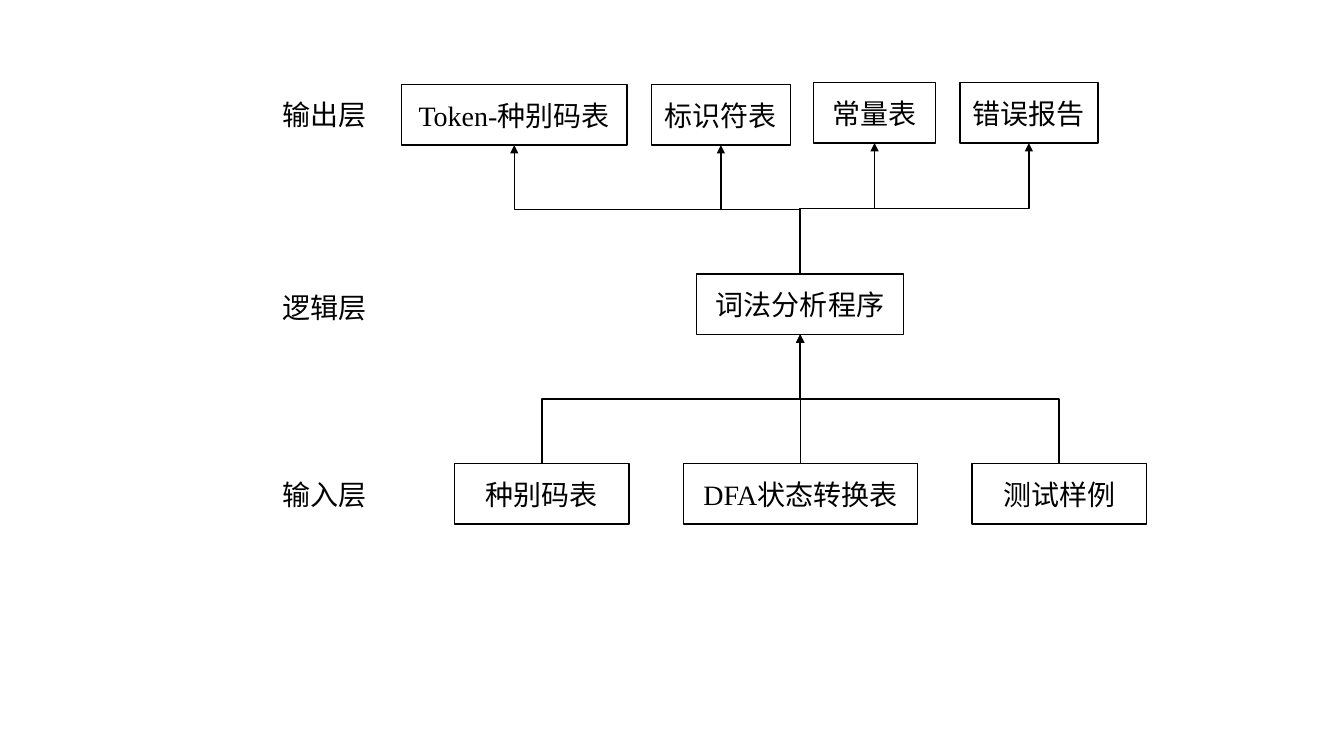
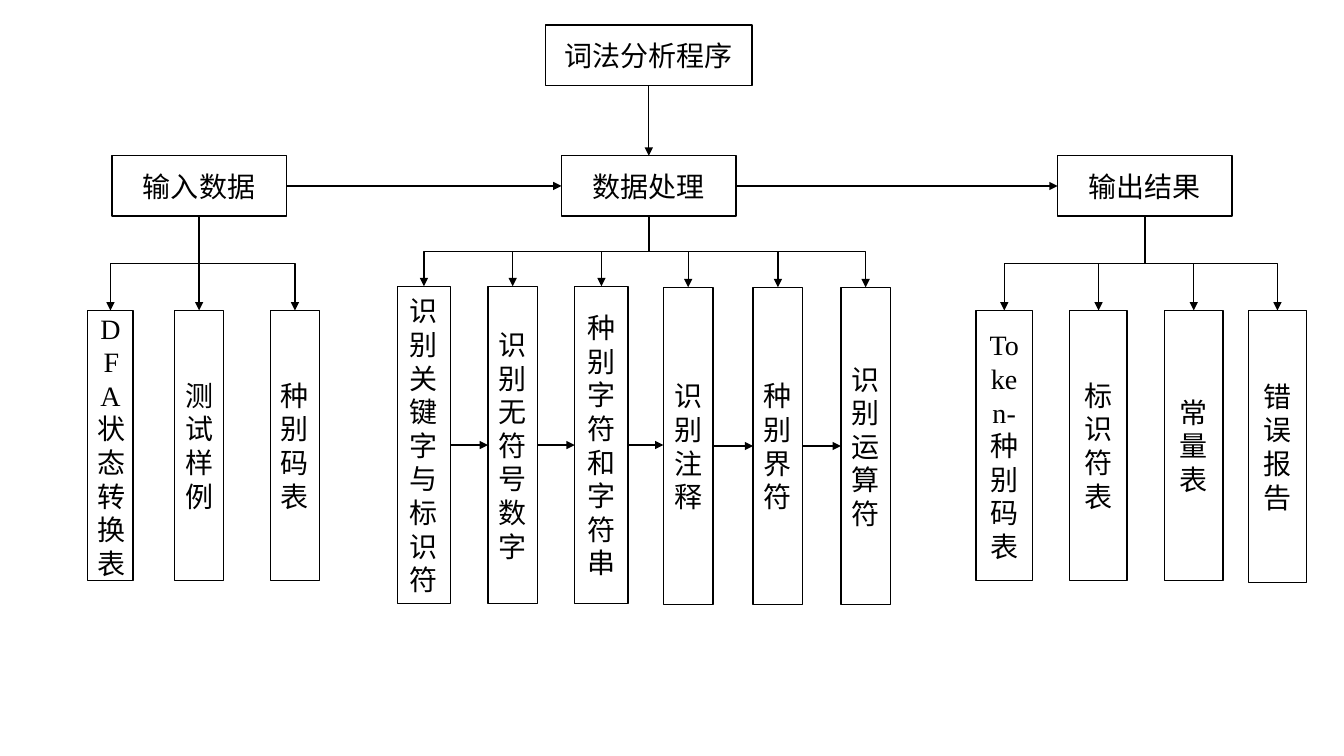
import pptx
import pptx.util
import pptx.dml.color
import pptx.enum.shapes
import pptx.enum.text
import pptx.oxml
import pptx.oxml.ns
import itertools

Inches = pptx.util.Inches
HUES = {"ink": "000000", "paper": "FFFFFF"}
FONTS = {"box": "Times New Roman", "label": "Noto Sans CJK SC"}
SIZE = pptx.util.Pt(20)
THIN = pptx.util.Pt(1)
BOX_H = 0.6
ANCHOR = pptx.enum.text.MSO_ANCHOR
ALIGN = pptx.enum.text.PP_ALIGN
KIND = pptx.enum.shapes.MSO_CONNECTOR


def hue(name):
    """Return a named colour."""
    return pptx.dml.color.RGBColor.from_string(HUES[name])


def assign(target, values):
    """Set attributes from a dict of format values."""
    for name, value in values.items():
        setattr(target, name, value)


def write(shape, text, font, frame, align):
    """Put one styled line of text in a shape."""
    assign(shape.text_frame, {"word_wrap": True, **frame})
    para = shape.text_frame.paragraphs[0]
    para.alignment = align
    run = para.add_run()
    run.text = text
    assign(run.font, {"name": FONTS[font], "size": SIZE})
    run.font.color.rgb = hue("ink")


def label(page, top, text):
    """Add the name of a layer at the left."""
    area = [Inches(n) for n in (2.7, top, 1.98, 0.44)]
    write(page.shapes.add_textbox(*area), text, "label",
          {"vertical_anchor": ANCHOR.TOP}, ALIGN.LEFT)


def box(page, left, top, width, text, height=BOX_H):
    """Add an outlined box with centred text."""
    area = [Inches(n) for n in (left, top, width, height)]
    shape = page.shapes.add_shape(
        pptx.enum.shapes.MSO_SHAPE.RECTANGLE, *area)
    shape.shadow.inherit = False
    shape.fill.solid()
    shape.fill.fore_color.rgb = hue("paper")
    shape.line.color.rgb = hue("ink")
    shape.line.width = THIN
    write(shape, text, "box", {"vertical_anchor": ANCHOR.MIDDLE},
          ALIGN.CENTER)
    return shape


def row(page, top, items, height=BOX_H):
    """Add boxes given as (left, width, text) on one level."""
    return [box(page, left, top, width, text, height)
            for left, width, text in items]


def arrow(page, kind, start, end):
    """Add a line with a triangle head at its end."""
    line = page.shapes.add_connector(
        kind, *[int(n) for n in (*start, *end)])
    line.line.color.rgb = hue("ink")
    line.line.width = THIN
    props = line._element.spPr
    tail = pptx.oxml.parse_xml(
        '<a:tailEnd %s type="triangle"/>' % pptx.oxml.ns.nsdecls("a"))
    line.line._get_or_add_ln().append(tail)
    props.append(pptx.oxml.parse_xml(
        "<a:effectLst %s/>" % pptx.oxml.ns.nsdecls("a")))
    return line


def link(page, start, end):
    """Join two points by an arrow that leaves and arrives upright."""
    (x1, y1), (x2, y2) = start, end
    if abs(x2 - x1) < Inches(0.02):
        arrow(page, KIND.STRAIGHT, start, (x1, y2))
        return
    turn = 1 if (x2 - x1) * (y2 - y1) < 0 else -1
    midx, midy = (x1 + x2) / 2, (y1 + y2) / 2
    dx, dy = turn * (y1 - midy), turn * (midx - x1)
    line = arrow(page, KIND.ELBOW, (midx + dx, midy + dy),
                 (midx - dx, midy - dy))
    line._element.spPr.xfrm.set("rot", str(turn * 5400000 % 21600000))


def head(shape):
    """Return the middle of the top edge."""
    return shape.left + shape.width / 2, shape.top


def foot(shape):
    """Return the middle of the bottom edge."""
    return shape.left + shape.width / 2, shape.top + shape.height


def fan(page, root, leaves):
    """Lead arrows from a box down to the boxes below it."""
    for leaf in leaves:
        link(page, foot(root), head(leaf))


def chain(page, boxes):
    """Lead level arrows from each box to the next one."""
    for one, two in itertools.pairwise(boxes):
        level = one.top + one.height / 2
        arrow(page, KIND.STRAIGHT, (one.left + one.width, level),
              (two.left, level))


def layers(page):
    """Draw the three layers of the program."""
    for top, text in ((0.92, "输出层"), (2.83, "逻辑层"), (4.69, "输入层")):
        label(page, top, text)
    core = box(page, 6.91, 2.72, 2.05, "词法分析程序")
    inputs = row(page, 4.6, [(4.51, 1.73, "种别码表"),
                             (6.78, 2.32, "DFA状态转换表"),
                             (9.64, 1.73, "测试样例")])
    outputs = row(page, 0.84, [(3.98, 2.24, "Token-种别码表"),
                               (6.46, 1.38, "标识符表")])
    outputs += row(page, 0.82, [(8.07, 1.21, "常量表"),
                                (9.52, 1.37, "错误报告")])
    for item in inputs:
        link(page, head(item), foot(core))
    for item in outputs:
        link(page, head(core), foot(item))


def modules(page):
    """Draw the tree of the program's modules."""
    root = box(page, 5.41, 0.25, 2.05, "词法分析程序")
    stages = row(page, 1.545, [(1.11, 1.73, "输入数据"),
                               (5.57, 1.73, "数据处理"),
                               (10.49, 1.73, "输出结果")])
    source, work, result = stages
    inputs = row(page, 3.08, [(0.87, 0.45, "DFA状态转换表"),
                              (1.73, 0.49, "测试样例"),
                              (2.68, 0.49, "种别码表")], 2.68)
    steps = row(page, 2.84, [(3.94, 0.53, "识别关键字与标识符"),
                             (4.84, 0.49, "识别无符号数字"),
                             (5.7, 0.53, "种别字符和字符串")], 3.15)
    steps += row(page, 2.85, [(6.58, 0.49, "识别注释"),
                              (7.47, 0.49, "种别界符"),
                              (8.34, 0.49, "识别运算符")], 3.15)
    outputs = row(page, 3.08, [(9.68, 0.56, "Token-种别码表"),
                               (10.61, 0.57, "标识符表"),
                               (11.55, 0.58, "常量表")], 2.68)
    outputs.append(box(page, 12.38, 3.08, 0.58, "错误报告", 2.7))
    fan(page, root, [work])
    for stage, leaves in zip(stages, (inputs, steps, outputs)):
        fan(page, stage, leaves)
    chain(page, stages)
    chain(page, steps)


def main():
    """Build both slides and save them."""
    deck = pptx.Presentation()
    assign(deck, {"slide_width": Inches(13.33),
                  "slide_height": Inches(7.5)})
    for draw in (layers, modules):
        draw(deck.slides.add_slide(deck.slide_layouts[6]))
    deck.save("out.pptx")


main()
